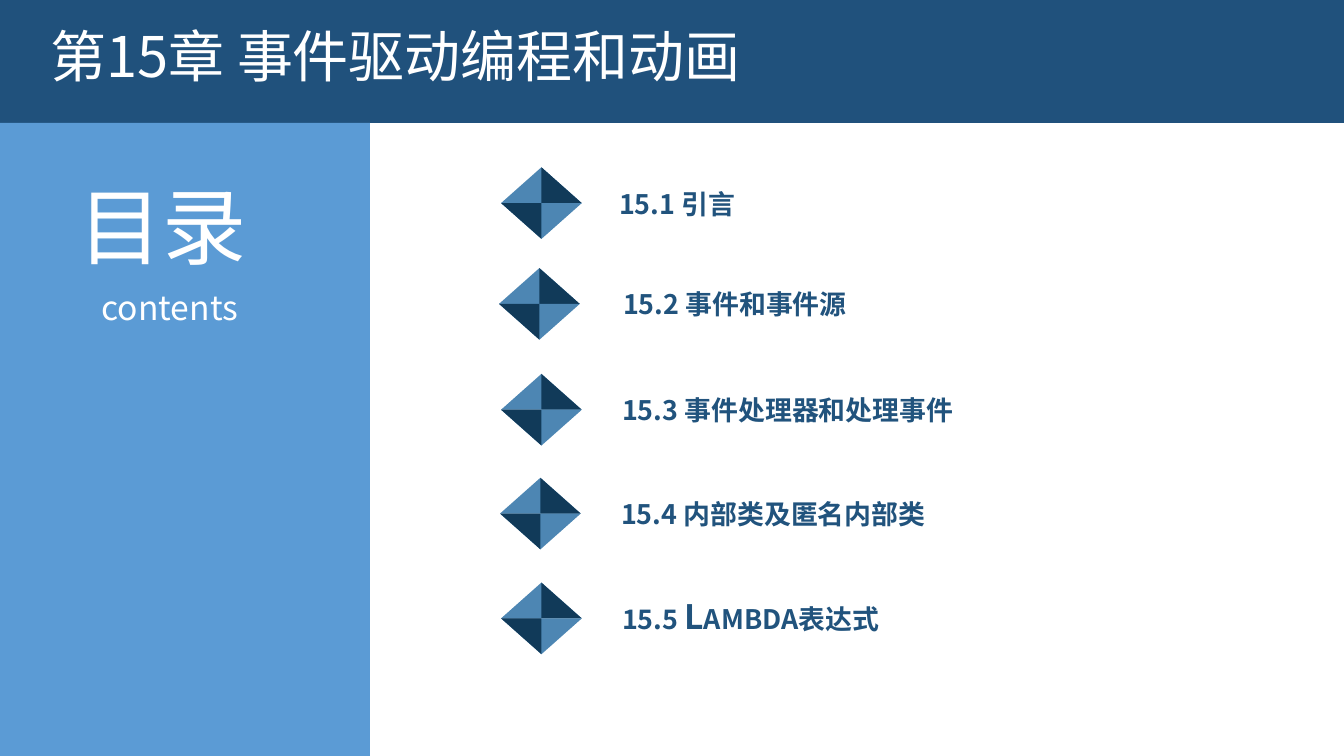
from pptx import Presentation
from pptx.dml.color import RGBColor
from pptx.enum.shapes import MSO_SHAPE as Preset
from pptx.enum.text import MSO_ANCHOR as Anchor, MSO_AUTO_SIZE as AutoSize, PP_ALIGN as Align
from pptx.oxml.ns import qn
from pptx.util import Inches, Pt
from lxml import etree

FONT = "Noto Sans CJK SC"
WHITE, NAVY, SKY = "FFFFFF", "20517C", "5B9BD5"
ITEM_BLUE, FACET_LIGHT, FACET_DARK = "21537D", "4D86B3", "113A59"
DIAMOND_WIDTH, DIAMOND_HEIGHT = 0.8, 0.71


def paint(shape, color):
    shape.shadow.inherit = False
    shape.fill.solid()
    shape.fill.fore_color.rgb = RGBColor.from_string(color)
    shape.line.fill.background()


def write(shape, text, size, color, align=Align.LEFT, bold=False):
    frame = shape.text_frame
    frame.text = text
    frame.auto_size = AutoSize.NONE
    frame.vertical_anchor = Anchor.TOP
    paragraph = frame.paragraphs[0]
    paragraph.alignment = align
    run = paragraph.runs[0]
    run.font.size = Pt(size)
    run.font.bold = bold
    run.font.name = FONT
    run.font.color.rgb = RGBColor.from_string(color)
    properties = run.font._element
    etree.SubElement(properties, qn("a:ea")).set("typeface", FONT)
    return properties


presentation = Presentation()
presentation.slide_width = Inches(13.33)
presentation.slide_height = Inches(7.5)
slide = presentation.slides.add_slide(presentation.slide_layouts[5])
shapes = slide.shapes

bands = [
    (0, 0, 13.33, 1.22, NAVY),
    (0, 1.22, 3.67, 6.28, SKY),
]
for left, top, width, height, color in bands:
    band = shapes.add_shape(Preset.RECTANGLE, Inches(left), Inches(top), Inches(width), Inches(height))
    paint(band, color)

title = shapes.title
title.left, title.top, title.width, title.height = Inches(0.4), Inches(0.16), Inches(8.06), Inches(0.77)
write(title, "第15章 事件驱动编程和动画", 40, WHITE)
shapes.element.append(title.element)

headings = [
    ("目录", 0.68, 1.68, 2.19, 1.11, 60),
    ("contents", 0.91, 2.8, 1.74, 0.51, 24),
]
for text, left, top, width, height, size in headings:
    heading = shapes.add_textbox(Inches(left), Inches(top), Inches(width), Inches(height))
    heading.text_frame.word_wrap = True
    write(heading, text, size, WHITE, Align.JUSTIFY)

items = [
    ("15.1 引言", 4.97, 1.66, 6.06, 1.63),
    ("15.2 事件和事件源", 4.95, 2.66, 6.1, 2.97),
    ("15.3 事件处理器和处理事件", 4.97, 3.71, 6.09, 4.34),
    ("15.4 内部类及匿名内部类", 4.96, 4.74, 6.08, 4.01),
    ("15.5 Lambda表达式", 4.97, 5.78, 6.09, 3.26),
]
for text, left, top, text_left, text_width in items:
    diamond = shapes.add_group_shape()
    center, middle = left + DIAMOND_WIDTH / 2, top + DIAMOND_HEIGHT / 2
    right, bottom = left + DIAMOND_WIDTH, top + DIAMOND_HEIGHT
    facets = [
        (top, 0, [(center, top), (center, middle), (right, middle)]),
        (middle, 180, [(center, bottom), (center, middle), (left, middle)]),
    ]
    for facet_top, rotation, corners in facets:
        light = diamond.shapes.add_shape(
            Preset.ISOSCELES_TRIANGLE, Inches(left), Inches(facet_top),
            Inches(DIAMOND_WIDTH), Inches(DIAMOND_HEIGHT / 2))
        light.rotation = rotation
        paint(light, FACET_LIGHT)
        points = [(Inches(x), Inches(y)) for x, y in corners]
        builder = diamond.shapes.build_freeform(*points[0])
        builder.add_line_segments(points[1:], close=True)
        paint(builder.convert_to_shape(), FACET_DARK)

    label = shapes.add_textbox(Inches(text_left), Inches(top + 0.09), Inches(text_width), Inches(0.48))
    frame = label.text_frame
    frame.word_wrap = False
    frame.margin_left = frame.margin_right = Inches(0.08)
    frame.margin_top = frame.margin_bottom = Inches(0.04)
    write(label, text, 24, ITEM_BLUE, bold=True).set("cap", "small")

presentation.save("out.pptx")
